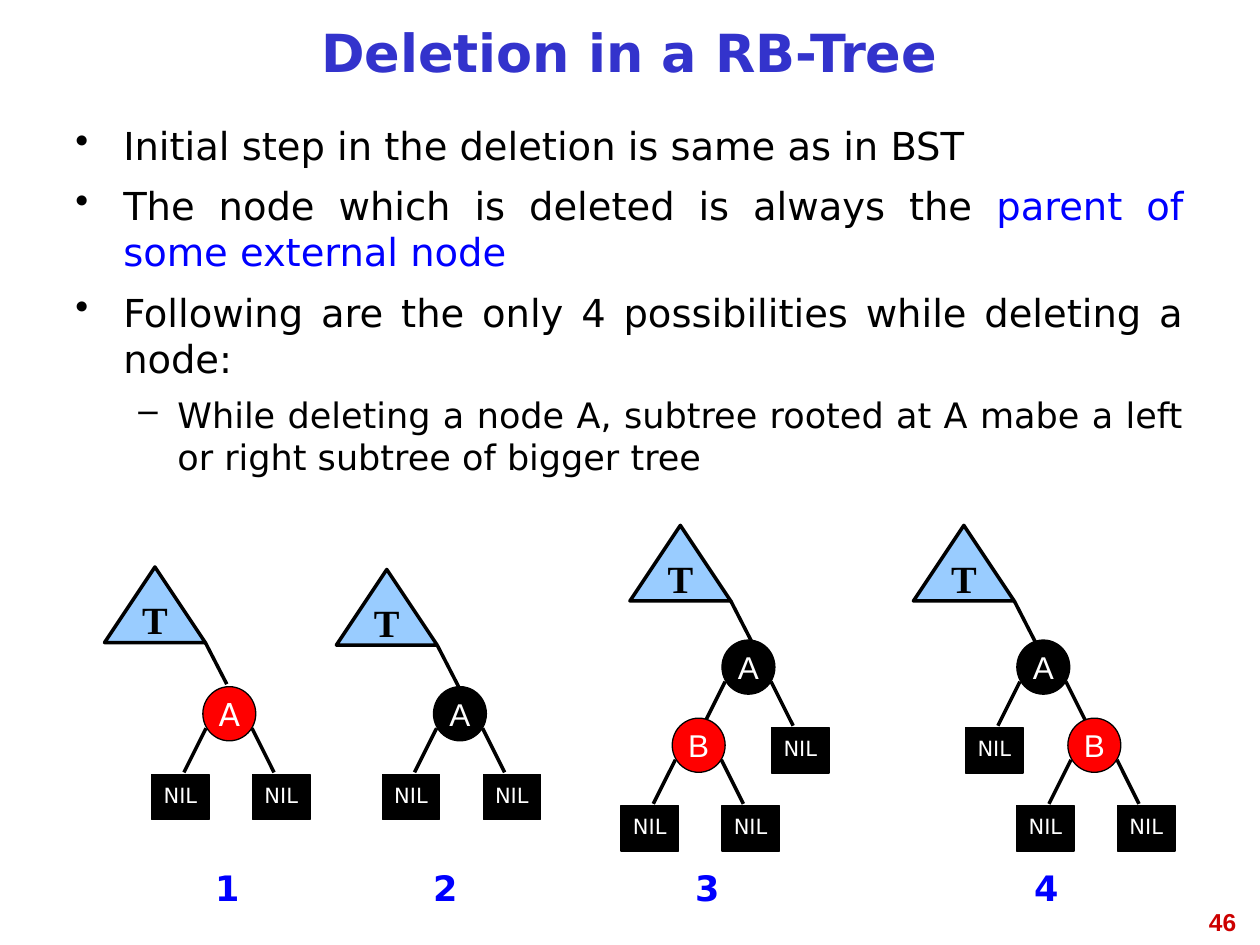
from collections import namedtuple

from lxml.etree import SubElement
from pptx import Presentation
from pptx.dml.color import RGBColor
from pptx.enum.shapes import MSO_CONNECTOR, MSO_SHAPE
from pptx.enum.text import MSO_ANCHOR, PP_ALIGN
from pptx.oxml.ns import qn
from pptx.util import Inches, Pt

BLACK = RGBColor(0x00, 0x00, 0x00)
WHITE = RGBColor(0xFF, 0xFF, 0xFF)
RED = RGBColor(0xFF, 0x00, 0x00)
BLUE = RGBColor(0x00, 0x00, 0xFF)
TITLE_BLUE = RGBColor(0x33, 0x33, 0xCC)
SUBTREE_BLUE = RGBColor(0x99, 0xCC, 0xFF)
PAGE_RED = RGBColor(0xCC, 0x00, 0x00)

SANS, ARIAL, SERIF = "DejaVu Sans", "Arial", "Times New Roman"

# The slide is a grid of 100 columns by 75 rows with square cells
COLUMNS, ROWS = 100, 75
CELL = Inches(0.1)

Box = namedtuple("Box", "left top width height")
Node = namedtuple("Node", "label color font left right")

# Sizes and offsets of tree parts, in cells
NODE_WIDTH, NODE_HEIGHT = 4.2, 4.3
NIL_WIDTH, NIL_HEIGHT = 4.55, 3.6
SUBTREE_WIDTH, SUBTREE_HEIGHT = 8, 6
EDGE_TOP, EDGE_BOTTOM = 3.3, 6.8
NIL_DROP, CHILD_DROP = 6.95, 6.2

BULLETS = [  # level, runs of (text, color)
    (0, [("Initial step in the deletion is same as in BST", BLACK)]),
    (0, [("The node which is deleted is always the ", BLACK),
         ("parent of some external node", BLUE)]),
    (0, [("Following are the only 4 possibilities while deleting a node:", BLACK)]),
    (1, [("While deleting a node A, subtree rooted at A mabe a left or right "
          "subtree of bigger tree", BLACK)]),
]
# Mark, left margin, hanging indent, size and space before of each level
LEVELS = [("•", 0.38, 0.38, 22, 8), ("–", 0.81, 0.31, 20, 7)]

RED_CHILD = Node("B", RED, ARIAL, None, None)
CASES = [  # corner of subtree T, corner of node A, left of the number, tree
    ((8.3, 45), (16.1, 54.5), 14.2, Node("A", RED, SANS, None, None)),
    ((26.7, 45.2), (34.4, 54.5), 31.5, Node("A", BLACK, ARIAL, None, None)),
    ((50, 41.7), (57.3, 50.8), 52.3, Node("A", BLACK, ARIAL, RED_CHILD, None)),
    ((72.5, 41.7), (80.7, 50.8), 79.2, Node("A", BLACK, ARIAL, None, RED_CHILD)),
]
NUMBER_TOP = 68.3


def cells(*counts):
    return [round(count * CELL) for count in counts]


def style_font(font, name, size, color, bold=False):
    font.name, font.size, font.bold = name, Pt(size), bold
    font.color.rgb = color


def add_text(slide, box, text, name, size, color, alignment, bold=True):
    text_box = slide.shapes.add_textbox(*cells(*box))
    text_frame = text_box.text_frame
    text_frame.word_wrap = True
    text_frame.text = text
    paragraph = text_frame.paragraphs[0]
    paragraph.alignment = alignment
    style_font(paragraph.runs[0].font, name, size, color, bold)
    return text_frame


def add_part(slide, kind, box, fill, line_width, text, name, size, color,
             bold=False, spacing=None):
    shape = slide.shapes.add_shape(kind, *cells(*box))
    shape.shadow.inherit = False
    shape.fill.solid()
    shape.fill.fore_color.rgb = fill
    shape.line.color.rgb = BLACK
    shape.line.width = Pt(line_width)
    text_frame = shape.text_frame
    text_frame.word_wrap = False
    text_frame.vertical_anchor = MSO_ANCHOR.MIDDLE
    text_frame.text = text
    paragraph = text_frame.paragraphs[0]
    paragraph.alignment = PP_ALIGN.CENTER
    paragraph.line_spacing = spacing
    style_font(paragraph.runs[0].font, name, size, color, bold)


def add_edge(slide, start, end):
    edge = slide.shapes.add_connector(MSO_CONNECTOR.STRAIGHT, *cells(*start, *end))
    edge.line.color.rgb = BLACK
    edge.line.width = Pt(2)
    SubElement(edge._element.spPr, qn("a:effectLst"))


def add_title(slide, box):
    text_frame = add_text(slide, box, "Deletion in a RB-Tree", SANS, 30,
                          TITLE_BLUE, PP_ALIGN.CENTER)
    text_frame.vertical_anchor = MSO_ANCHOR.MIDDLE
    text_frame.paragraphs[0].line_spacing = 0.81


def add_bullets(slide, box):
    text_frame = slide.shapes.add_textbox(*cells(*box)).text_frame
    text_frame.word_wrap = True
    for index, (level, runs) in enumerate(BULLETS):
        mark, margin, hanging, size, space = LEVELS[level]
        paragraph = text_frame.paragraphs[0] if index == 0 else text_frame.add_paragraph()
        paragraph.level = level
        paragraph.alignment = PP_ALIGN.JUSTIFY
        properties = paragraph._p.get_or_add_pPr()
        properties.set("marL", str(Inches(margin)))
        properties.set("indent", str(-Inches(hanging)))
        bullet_color = SubElement(properties, qn("a:buClr"))
        SubElement(bullet_color, qn("a:srgbClr"), val=str(BLACK))
        SubElement(properties, qn("a:buChar"), char=mark)
        if index:
            paragraph.space_before = Pt(space)
        for text, color in runs:
            run = paragraph.add_run()
            run.text = text
            style_font(run.font, SANS, size, color)


def add_nil(slide, left, top):
    add_part(slide, MSO_SHAPE.RECTANGLE, Box(left, top, NIL_WIDTH, NIL_HEIGHT),
             BLACK, 0.75, "NIL", SANS, 12, WHITE, spacing=0.81)


def add_node(slide, node, left, top):
    """Draw a node at the given corner, then its two children below it."""
    add_part(slide, MSO_SHAPE.OVAL, Box(left, top, NODE_WIDTH, NODE_HEIGHT),
             node.color, 0.75, node.label, node.font, 18, WHITE)
    # Child, edge start, edge end and child corner, across from the node
    sides = [(node.left, 0.25, -1.5, -4.05), (node.right, 3.9, 5.65, 3.95)]
    for child, start, end, offset in sides:
        add_edge(slide, (left + start, top + EDGE_TOP), (left + end, top + EDGE_BOTTOM))
        if child:
            add_node(slide, child, left + offset + 0.1, top + CHILD_DROP)
        else:
            add_nil(slide, left + offset, top + NIL_DROP)


def add_case(slide, number, subtree_corner, node_corner, number_left, node):
    left, top = subtree_corner
    add_part(slide, MSO_SHAPE.ISOSCELES_TRIANGLE,
             Box(left, top, SUBTREE_WIDTH, SUBTREE_HEIGHT),
             SUBTREE_BLUE, 2, "T", SERIF, 22, BLACK, bold=True, spacing=0.81)
    foot = (left + SUBTREE_WIDTH, top + SUBTREE_HEIGHT)
    add_edge(slide, foot, (foot[0] + 1.7, foot[1] + 3.3))
    add_node(slide, node, *node_corner)
    add_text(slide, Box(number_left, NUMBER_TOP, 7.7, 4.4), str(number),
             SANS, 20, BLUE, PP_ALIGN.CENTER)


def main():
    presentation = Presentation()
    presentation.slide_width, presentation.slide_height = cells(COLUMNS, ROWS)
    slide = presentation.slides.add_slide(presentation.slide_layouts[6])

    # Page number, title and bullets
    add_text(slide, Box(75.8, 71.5, 23.3, 5.2), "46", ARIAL, 14, PAGE_RED, PP_ALIGN.RIGHT)
    add_title(slide, Box(5, 0.8, 89.9, 7.5))
    add_bullets(slide, Box(5, 9.2, 89.9, 58.3))

    # The four deletion cases
    for number, case in enumerate(CASES, start=1):
        add_case(slide, number, *case)

    presentation.save("out.pptx")


if __name__ == "__main__":
    main()
